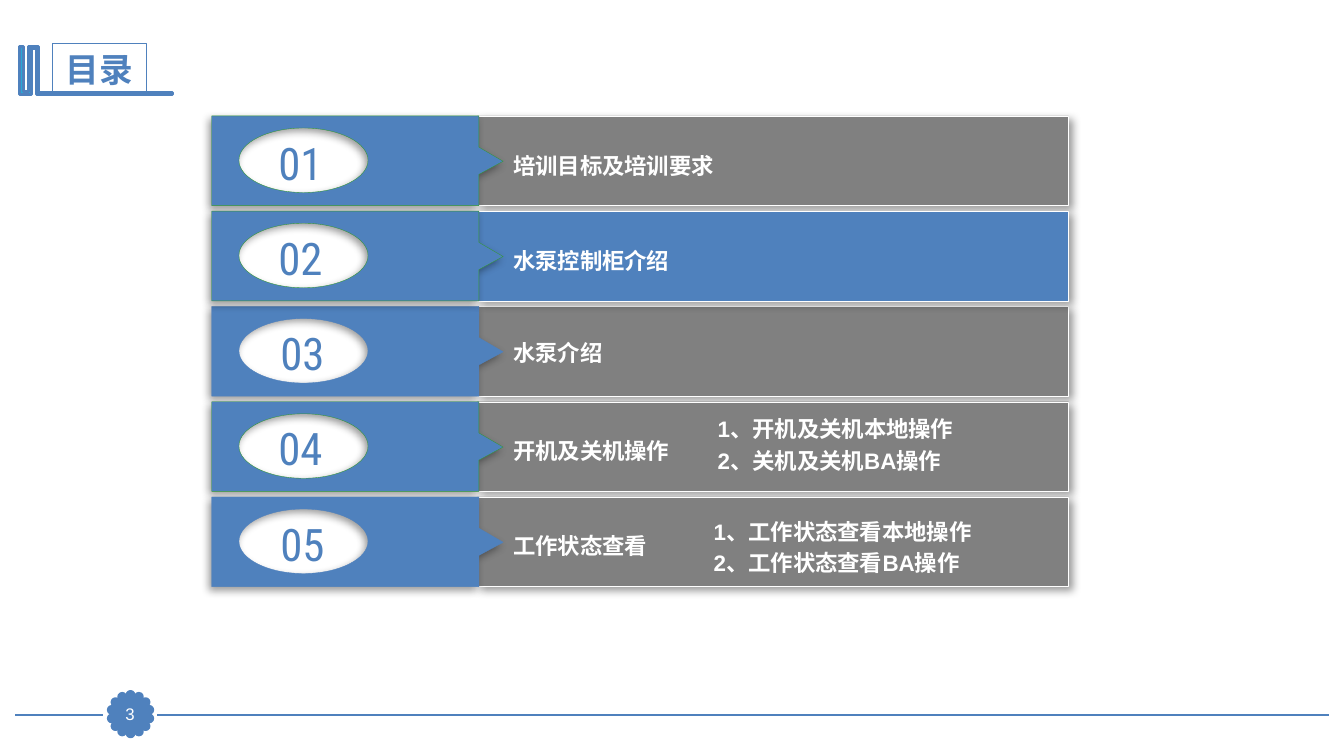
"""Build the contents slide with five numbered topic rows."""
import dataclasses
import math

import pptx
import pptx.dml.color
import pptx.enum.shapes
import pptx.enum.text
import pptx.oxml
import pptx.oxml.ns
import pptx.util

Inches = pptx.util.Inches
Kind = pptx.enum.shapes.MSO_SHAPE
Align = pptx.enum.text.PP_ALIGN
Anchor = pptx.enum.text.MSO_ANCHOR
color = pptx.dml.color.RGBColor.from_string
space = pptx.oxml.ns.nsdecls("a")


@dataclasses.dataclass
class Theme:
    blue: str = "4F81BD"
    gray: str = "808080"
    white: str = "FFFFFF"
    green: str = "339933"
    cyan: str = "28A9D6"
    body: str = "Arial"
    head: str = "Roboto Condensed"
    title: int = 24
    digit: int = 32
    topic: int = 16
    page: int = 12


theme = Theme()


def paint(shape, fill, line, width, angle=None):
    if fill:
        shape.fill.solid()
        shape.fill.fore_color.rgb = color(fill)
    else:
        shape.fill.background()
    shape.line.color.rgb = color(line)
    shape.line.width = pptx.util.Pt(width)
    shape.shadow.inherit = False
    if angle is not None:
        effect = shape._element.spPr.find(pptx.oxml.ns.qn("a:effectLst"))
        effect.append(pptx.oxml.parse_xml(
            f'<a:outerShdw {space} blurRad="76200" dist="38100" '
            f'dir="{angle * 60000}" algn="ctr" rotWithShape="0"><a:srgbClr val="000000">'
            '<a:alpha val="40000"/></a:srgbClr></a:outerShdw>'))


def write(shape, words, size, font, ink, bold=False, align=Align.LEFT, anchor=Anchor.MIDDLE):
    frame = shape.text_frame
    frame.word_wrap = True
    frame.vertical_anchor = anchor
    para = frame.paragraphs[0]
    para.alignment = align
    run = para.add_run()
    run.text = words
    run.font.size = pptx.util.Pt(size)
    run.font.name = font
    run.font.bold = bold
    run.font.color.rgb = color(ink)


deck = pptx.Presentation()
deck.slide_width, deck.slide_height = Inches(13.33), Inches(7.5)
slide = deck.slides.add_slide(deck.slide_layouts[6])
shapes = slide.shapes

for start, end in [(13.18, 1.56), (1.02, 0.15)]:
    rule = shapes.add_connector(pptx.enum.shapes.MSO_CONNECTOR.STRAIGHT,
                                Inches(start), Inches(7.09), Inches(end), Inches(7.09))
    rule.line.color.rgb = color(theme.blue)
    rule.line.width = pptx.util.Pt(1.25)
    rule._element.spPr.append(pptx.oxml.parse_xml(f'<a:effectLst {space}/>'))

petals = 14
for step in range(petals):
    turn = math.tau * step / petals
    petal = shapes.add_shape(
        Kind.OVAL, Inches(1.26 + 0.19 * math.sin(turn)),
        Inches(7.05 - 0.19 * math.cos(turn)), Inches(0.07), Inches(0.07))
    paint(petal, theme.blue, theme.blue, 2)

marks = [(0.36, 0.46), (0.38, 0.46), (0.38, 0.92), (1.71, 0.92), (1.71, 0.94), (0.36, 0.94),
         (0.36, 0.48), (0.31, 0.48), (0.31, 0.94), (0.19, 0.94), (0.19, 0.46), (0.23, 0.46),
         (0.23, 0.91), (0.28, 0.91), (0.28, 0.46)]
marks = [(Inches(x), Inches(y)) for x, y in marks]
pen = shapes.build_freeform(*marks[0])
pen.add_line_segments(marks[1:])
paint(pen.convert_to_shape(), theme.cyan, theme.blue, 2)

title = shapes.add_shape(Kind.RECTANGLE, Inches(0.52), Inches(0.43), Inches(0.93), Inches(0.51))
paint(title, None, theme.blue, 0.75)
write(title, "目录", theme.title, theme.head, theme.blue, True, Align.CENTER)

page = shapes.add_shape(Kind.RECTANGLE, Inches(1.13), Inches(6.93), Inches(0.32), Inches(0.31))
paint(page, theme.blue, theme.blue, 0.75)
frame = page.text_frame
frame.margin_left = frame.margin_right = frame.margin_top = frame.margin_bottom = 0
write(page, "3", theme.page, theme.body, theme.white, align=Align.CENTER)

rows = [
    (1, 2.48, "培训目标及培训要求", 0.31, theme.gray, theme.green),
    (3, 2.5, "水泵介绍", 0.28, theme.gray, theme.blue),
    (4, 2.48, "开机及关机操作", 0.3, theme.gray, theme.green),
    (5, 2.5, "工作状态查看", 0.3, theme.gray, theme.blue),
    (2, 2.48, "水泵控制柜介绍", 0.31, theme.blue, theme.green),
]
notes = [
    (6.98, 5.09, "1、工作状态查看本地操作"),
    (6.98, 5.4, "2、工作状态查看BA操作"),
    (7.02, 4.07, "1、开机及关机本地操作"),
    (7.02, 4.39, "2、关机及关机BA操作"),
]
edge = [(2.1, 0), (4.75, 0), (4.75, 0.31), (4.99, 0.45), (4.75, 0.58), (4.75, 0.89), (2.1, 0.89)]
bend = 0.55
arcs = [[(1, 0)]]
for across, down in [(1, 0), (0, 1), (-1, 0), (0, -1)]:
    arcs.append([(across - bend * down, down + bend * across),
                 (bend * across - down, bend * down + across), (-down, across)])

for rank, left, topic, drop, fill, line in rows:
    top = 1.15 + 0.945 * (rank - 1)
    bar = shapes.add_shape(Kind.RECTANGLE, Inches(4.73), Inches(top), Inches(5.87), Inches(0.89))
    paint(bar, fill, theme.white, 0.25, 45)

    points = [(Inches(x), Inches(top + y)) for x, y in edge]
    pen = shapes.build_freeform(*points[0])
    pen.add_line_segments(points[1:])
    arrow = pen.convert_to_shape()
    paint(arrow, theme.blue, line, 0.25, 135)
    outline = next(arrow._element.iter(pptx.oxml.ns.qn("a:path")))
    for arc in arcs:
        tag = "moveTo" if len(arc) == 1 else "cubicBezTo"
        dots = "".join(f'<a:pt x="{Inches(0.91 + 0.64 * x)}" y="{Inches(0.44 + 0.32 * y)}"/>'
                       for x, y in arc)
        outline.append(pptx.oxml.parse_xml(f"<a:{tag} {space}>{dots}</a:{tag}>"))
    outline.append(pptx.oxml.parse_xml(f"<a:close {space}/>"))

    digit = shapes.add_textbox(Inches(left), Inches(top + 0.14), Inches(1), Inches(0.64))
    write(digit, f"{rank:02}", theme.digit, theme.head, theme.blue, align=Align.CENTER)
    label = shapes.add_textbox(Inches(4.99), Inches(top + drop), Inches(5.61), Inches(0.37))
    write(label, topic, theme.topic, theme.body, theme.white, True, anchor=Anchor.TOP)

for left, top, words in notes:
    note = shapes.add_textbox(Inches(left), Inches(top), Inches(3.07), Inches(0.37))
    write(note, words, theme.topic, theme.body, theme.white, True, anchor=Anchor.TOP)

deck.save("out.pptx")
